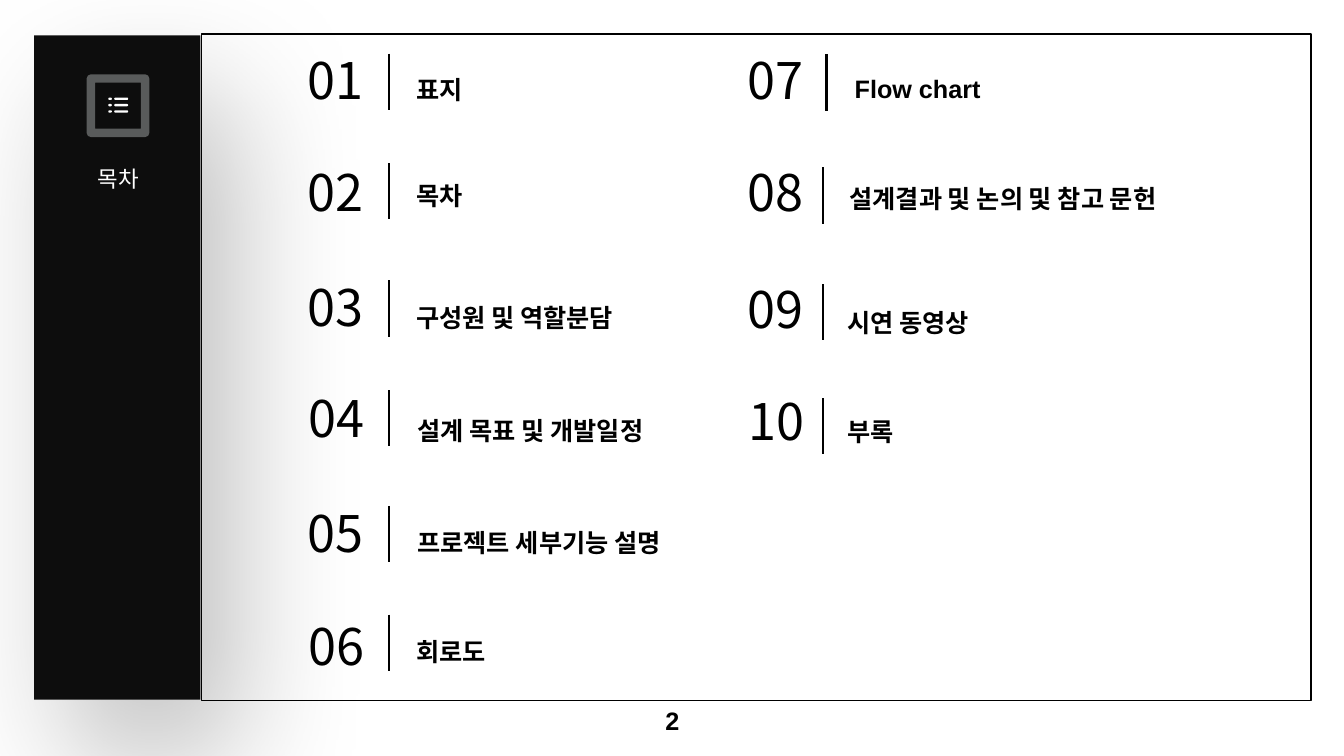
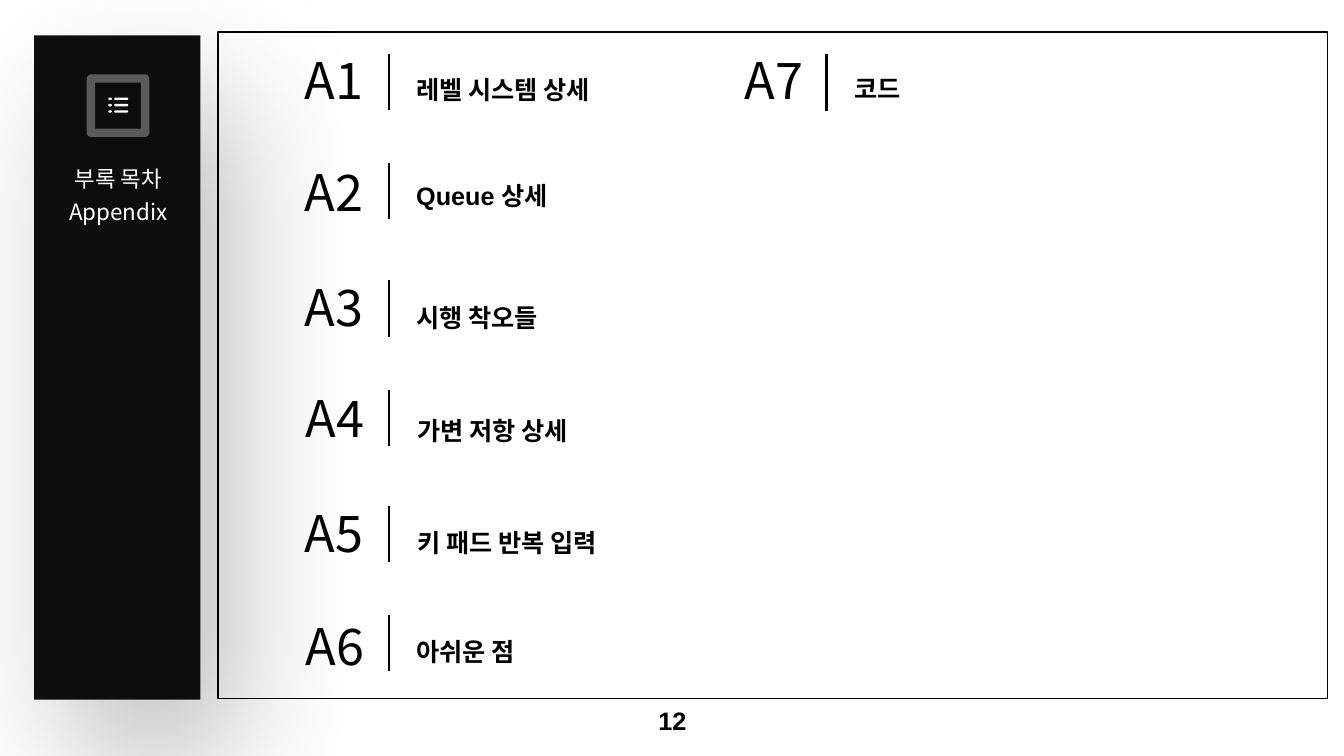
from dataclasses import dataclass
from math import cos, pi, sin
from typing import NamedTuple

from lxml.etree import SubElement
from pptx import Presentation
from pptx.dml.color import RGBColor
from pptx.enum.shapes import MSO_CONNECTOR as Connector, MSO_SHAPE as Preset
from pptx.enum.text import MSO_ANCHOR as Anchor, MSO_AUTO_SIZE as AutoSize, PP_ALIGN as Align
from pptx.oxml.ns import qn
from pptx.shapes.autoshape import Shape
from pptx.slide import Slide
from pptx.util import Cm, Pt

BLACK, WHITE, CHARCOAL, GREY = "000000", "FFFFFF", "0D0D0D", "A6AAA9"
LATIN, KOREAN = "Arial", "Noto Sans CJK KR"


class Frame(NamedTuple):
    left: float
    top: float
    width: float
    height: float


class Slot(NamedTuple):
    number_left: float
    number_top: float
    rule_left: float
    rule_top: float
    label_left: float
    label_top: float
    label_width: float


@dataclass(frozen=True)
class TextStyle:
    size: float
    font: str
    color: str = BLACK
    bold: bool = False
    align: Align = Align.LEFT
    spacing: float = 1.0


@dataclass(frozen=True)
class Contents:
    title: list[str]
    page_number: str
    panel_left: float
    panel_top: float
    prefix: str
    digits: int
    labels: list[str]


TITLE = TextStyle(16, KOREAN, WHITE, align=Align.CENTER, spacing=1.2)
NUMBER = TextStyle(36, KOREAN, align=Align.RIGHT, spacing=0.8)
LABEL = TextStyle(18, LATIN, bold=True, spacing=1.5)
PAGE_NUMBER = TextStyle(18, LATIN, bold=True, align=Align.CENTER)

SIDEBAR = Frame(0.86, 0.89, 4.19, 16.74)
TITLE_FRAME = Frame(0.89, 3.91, 4.19, 0.94)
ICON_FRAME = Frame(2.29, 1.98, 1.37, 1.37)
PAGE_NUMBER_FRAME = Frame(11.23, 17.65, 11.43, 1.02)
RULE_HEIGHT = 1.42

SLOTS = [
    Slot(5.84, 1.42, 9.8, 1.35, 10.49, 1.37, 7.1),
    Slot(5.84, 4.24, 9.8, 4.11, 10.49, 4.04, 7.1),
    Slot(5.84, 7.14, 9.8, 7.06, 10.49, 7.11, 7.1),
    Slot(5.87, 9.93, 9.8, 9.83, 10.52, 9.96, 7.1),
    Slot(5.84, 12.83, 9.8, 12.75, 10.52, 12.78, 7.1),
    Slot(5.87, 15.67, 9.8, 15.49, 10.49, 15.52, 7.1),
    Slot(16.94, 1.42, 20.83, 1.37, 21.54, 1.35, 9),
    Slot(16.94, 4.24, 20.75, 4.22, 21.41, 4.11, 9),
    Slot(16.94, 7.19, 20.75, 7.16, 21.36, 7.24, 9),
    Slot(16.97, 10.01, 20.73, 10.03, 21.36, 9.98, 9),
]

PAGES = [
    Contents(["목차"], "2", 5.08, 0.86, "", 2, [
        "표지", "목차", "구성원 및 역할분담", "설계 목표 및 개발일정",
        "프로젝트 세부기능 설명", "회로도", "Flow chart",
        "설계결과 및 논의 및 참고 문헌", "시연 동영상", "부록",
    ]),
    Contents(["부록 목차", "Appendix"], "12", 5.49, 0.81, "A", 1, [
        "레벨 시스템 상세", "Queue 상세", "시행 착오들", "가변 저항 상세",
        "키 패드 반복 입력", "아쉬운 점", "코드",
    ]),
]


def rgb(value: str) -> RGBColor:
    """Turn a hex string into a colour."""
    return RGBColor.from_string(value)


def lengths(frame: Frame) -> list[Cm]:
    """Convert a frame to slide lengths."""
    return [Cm(value) for value in frame]


def write(box: Shape, lines: list[str], style: TextStyle) -> None:
    """Fill a text shape with equally styled paragraphs."""
    text = box.text_frame
    text.word_wrap = True
    for index, line in enumerate(lines):
        para = text.add_paragraph() if index else text.paragraphs[0]
        para.text = line
        para.alignment = style.align
        para.line_spacing = style.spacing
        para.font.size = Pt(style.size)
        para.font.bold = style.bold
        para.font.color.rgb = rgb(style.color)
        para.font.name = style.font
        properties = para._p.pPr.find(qn("a:defRPr"))
        SubElement(properties, qn("a:ea"), typeface=KOREAN)


def add_text(page: Slide, frame: Frame, text: str, style: TextStyle) -> Shape:
    """Add a one-paragraph text box."""
    box = page.shapes.add_textbox(*lengths(frame))
    write(box, [text], style)
    return box


def add_rectangle(page: Slide, frame: Frame, fill: str | None,
                  line: str | None = None, weight: float = 1) -> Shape:
    """Add a flat rectangle with optional fill and outline."""
    box = page.shapes.add_shape(Preset.RECTANGLE, *lengths(frame))
    box.shadow.inherit = False
    if fill:
        box.fill.solid()
        box.fill.fore_color.rgb = rgb(fill)
    else:
        box.fill.background()
    if line:
        box.line.color.rgb = rgb(line)
        box.line.width = Pt(weight)
    else:
        box.line.fill.background()
    return box


def add_sidebar(page: Slide) -> None:
    """Add the dark side band with its soft shadow."""
    band = add_rectangle(page, SIDEBAR, CHARCOAL)
    effects = band._element.spPr.find(qn("a:effectLst"))
    shadow = SubElement(effects, qn("a:outerShdw"), blurRad=str(Pt(100)),
                        dist=str(Pt(50)), dir="3600000", algn="ctr", rotWithShape="0")
    color = SubElement(shadow, qn("a:srgbClr"), val=BLACK)
    SubElement(color, qn("a:alpha"), val="25000")


def pill(left: float, right: float, middle: float, radius: float) -> list[tuple[Cm, Cm]]:
    """Return the outline of a bar with round ends."""
    steps = 6
    outline = []
    for center, start in ((right - radius, -pi / 2), (left + radius, pi / 2)):
        for step in range(steps + 1):
            angle = start + pi * step / steps
            outline.append((Cm(center + radius * cos(angle)),
                            Cm(middle + radius * sin(angle))))
    return outline


def add_list_icon(page: Slide) -> None:
    """Add the square frame and the bulleted-list symbol."""
    square = add_rectangle(page, ICON_FRAME, None, GREY, 6)
    color = square.line._ln.find(f".//{qn('a:srgbClr')}")
    SubElement(color, qn("a:alpha"), val="50000")
    bars = [pill(left, right, 2.49 + 0.16 * row, 0.03)
            for row in range(3) for left, right in ((2.73, 2.82), (2.88, 3.23))]
    builder = page.shapes.build_freeform(*bars[0][0])
    for index, bar in enumerate(bars):
        if index:
            builder.move_to(*bar[0])
        builder.add_line_segments(bar[1:], close=True)
    symbol = builder.convert_to_shape()
    symbol.shadow.inherit = False
    symbol.fill.solid()
    symbol.fill.fore_color.rgb = rgb(WHITE)
    symbol.line.fill.background()


def add_title(page: Slide, lines: list[str]) -> None:
    """Place the title placeholder on the side band."""
    title = page.shapes.title
    title.left, title.top, title.width, title.height = lengths(TITLE_FRAME)
    title.text_frame.vertical_anchor = Anchor.TOP
    title.text_frame.auto_size = AutoSize.NONE
    write(title, lines, TITLE)
    title._element.getparent().append(title._element)


def add_entry(page: Slide, slot: Slot, number: str, label: str) -> None:
    """Add one entry: number, vertical rule and label."""
    add_text(page, Frame(slot.number_left, slot.number_top, 3.56, 1.24), number, NUMBER)
    rule = page.shapes.add_connector(
        Connector.STRAIGHT, Cm(slot.rule_left), Cm(slot.rule_top),
        Cm(slot.rule_left), Cm(slot.rule_top + RULE_HEIGHT))
    rule.line.color.rgb = rgb(BLACK)
    rule.line.width = Pt(1.5)
    SubElement(rule._element.spPr, qn("a:effectLst"))
    frame = Frame(slot.label_left, slot.label_top, slot.label_width, 1.27)
    box = add_text(page, frame, label, LABEL)
    box.text_frame.margin_left = box.text_frame.margin_right = 0
    box.text_frame.auto_size = AutoSize.SHAPE_TO_FIT_TEXT


def add_page(deck: Presentation, contents: Contents) -> None:
    """Build one contents page."""
    page = deck.slides.add_slide(deck.slide_layouts[5])
    panel = Frame(contents.panel_left, contents.panel_top, 27.96, 16.79)
    add_rectangle(page, panel, WHITE, BLACK)
    add_sidebar(page)
    add_title(page, contents.title)
    add_list_icon(page)
    footer = add_text(page, PAGE_NUMBER_FRAME, contents.page_number, PAGE_NUMBER)
    footer.text_frame.vertical_anchor = Anchor.MIDDLE
    for position, (slot, label) in enumerate(zip(SLOTS, contents.labels), start=1):
        add_entry(page, slot, f"{contents.prefix}{position:0{contents.digits}d}", label)


def main() -> None:
    """Build and save the deck."""
    deck = Presentation()
    deck.slide_width, deck.slide_height = Cm(33.87), Cm(19.05)
    for contents in PAGES:
        add_page(deck, contents)
    deck.save("out.pptx")


if __name__ == "__main__":
    main()
